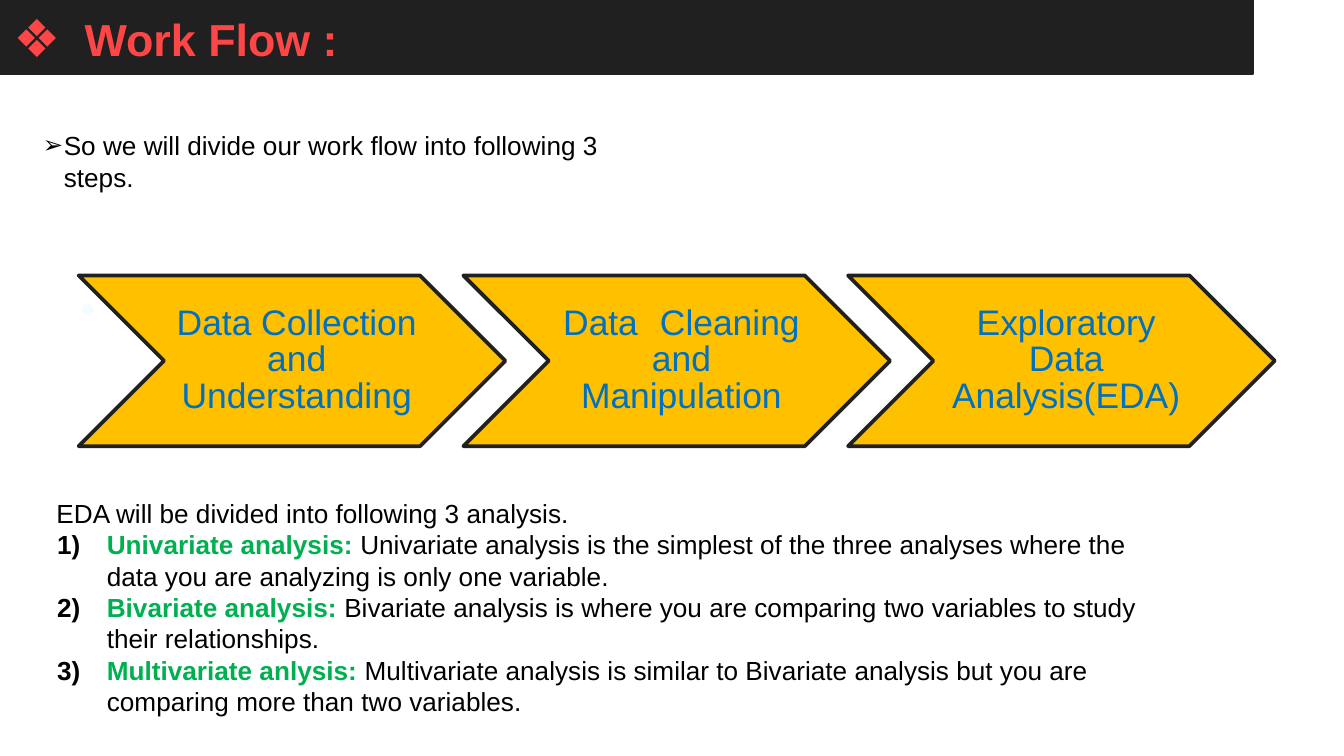
from lxml.etree import SubElement
from pptx import Presentation
from pptx.dml.color import RGBColor
from pptx.enum.shapes import MSO_SHAPE as SHAPE
from pptx.enum.text import MSO_ANCHOR as ANCHOR, PP_ALIGN as ALIGN
from pptx.oxml.ns import qn
from pptx.util import Inches, Pt

COLS, ROWS = 100, 56.25
CELL = Inches(0.1)
DARK, RED, GOLD, BLUE = "202020", "FF4646", "FFC000", "0070C0"
GREEN, BLACK, PALE = "00B050", "000000", "F5FCFF"
STEPS = [
    ["Data Collection ", "and ", "Understanding"],
    ["Data\tCleaning ", "and ", "Manipulation"],
    ["Exploratory ", "Data ", "Analysis(EDA)"],
]
ANALYSES = [
    ("Univariate analysis: ", "Univariate analysis is the simplest of the three "
     "analyses where the data you are analyzing is only one variable."),
    ("Bivariate analysis: ", "Bivariate analysis is where you are comparing two "
     "variables to study their relationships."),
    ("Multivariate anlysis: ", "Multivariate analysis is similar to Bivariate "
     "analysis but you are comparing more than two variables."),
]


def cells(*values):
    """Turn grid cells into slide lengths."""
    return [int(v * CELL) for v in values]


def rgb(color):
    """Return the colour of a hex string."""
    return RGBColor.from_string(color)


def add_run(p, text, size, color, bold=False):
    """Add one formatted run to a paragraph."""
    r = p.add_run()
    r.text = text
    r.font.name, r.font.size, r.font.bold = "Arial", Pt(size), bold
    r.font.color.rgb = rgb(color)


def set_frame(tf, left=0, top=0):
    """Wrap a text frame and set its margins in cells."""
    tf.word_wrap = True
    tf.margin_left, tf.margin_top = cells(left, top)
    tf.margin_right = tf.margin_bottom = 0


def add_text(s, box):
    """Add a text box and return its frame."""
    tf = s.shapes.add_textbox(*cells(*box)).text_frame
    set_frame(tf, top=0.1)
    return tf


def add_shape(s, kind, box, fill):
    """Add a filled shape with the dark outline."""
    sp = s.shapes.add_shape(kind, *cells(*box))
    sp.shadow.inherit = False
    sp.fill.solid()
    sp.fill.fore_color.rgb = rgb(fill)
    sp.line.color.rgb = rgb(DARK)
    sp.line.width = Pt(2)
    return sp


def set_indent(p, left, hang=0):
    """Set the left margin and hanging indent of a paragraph."""
    pPr = p._p.get_or_add_pPr()
    margin, indent = cells(left, -hang)
    pPr.set("marL", str(margin))
    pPr.set("indent", str(indent))
    return pPr


def set_bullet(p, left, hang, tag, size=100, color=None, **attrs):
    """Give a paragraph a hanging bullet or number."""
    pPr = set_indent(p, left, hang)
    if color:
        clr = SubElement(pPr, qn("a:buClr"))
        SubElement(clr, qn("a:srgbClr"), val=color)
    SubElement(pPr, qn("a:buSzPct"), val=str(size * 1000))
    SubElement(pPr, qn("a:buFont"), typeface="Arial")
    SubElement(pPr, qn(tag), **attrs)


def add_header(s, box):
    """Draw the title bar with its bulleted heading."""
    x, y, w, h = box
    add_shape(s, SHAPE.RECTANGLE, box, DARK)
    p = add_text(s, (x + 0.9, y + 0.8, w / 2, h - 1)).paragraphs[0]
    p.space_before = Pt(1)
    set_bullet(p, 5.4, 5.3, "a:buChar", 117, char="❖")
    add_run(p, "Work Flow :", 24, RED, True)


def add_intro(s, box):
    """Write the arrow-bulleted lead sentence."""
    p = add_text(s, box).paragraphs[0]
    set_bullet(p, 1.55, 1.55, "a:buChar", 93, char="➢")
    add_run(p, "So we will divide our work flow into following 3 steps.", 14, BLACK)


def add_step(s, box, words):
    """Draw one chevron with its centred label."""
    sp = add_shape(s, SHAPE.CHEVRON, box, GOLD)
    tf = sp.text_frame
    set_frame(tf, left=0.7)
    tf.vertical_anchor = ANCHOR.MIDDLE
    p = tf.paragraphs[0]
    p.alignment, p.line_spacing = ALIGN.CENTER, 0.86
    tabs = SubElement(p._p.get_or_add_pPr(), qn("a:tabLst"))
    SubElement(tabs, qn("a:tab"), pos=str(cells(7.2)[0]), algn="l")
    for word in words:
        add_run(p, word, 19, BLUE)


def add_flow(s, box):
    """Lay the steps out at an equal pitch."""
    x, y, w, h = box
    step_w = 2.5 * h
    pitch = (w - step_w) / (len(STEPS) - 1)
    p = add_text(s, (x, y + 1.1, 1.5, 2.6)).paragraphs[0]
    p.space_before = Pt(0.9)
    set_indent(p, 0.1)
    add_run(p, "●", 14, PALE)
    for i, words in enumerate(STEPS):
        add_step(s, (x + i * pitch, y, step_w, h), words)


def add_analyses(s, box):
    """Write the numbered list of analyses."""
    tf = add_text(s, box)
    p = tf.paragraphs[0]
    p.space_before = Pt(1)
    set_indent(p, 0.15)
    add_run(p, "EDA will be divided into following 3 analysis.", 14, BLACK)
    for name, text in ANALYSES:
        p = tf.add_paragraph()
        set_bullet(p, 3.9, 3.7, "a:buAutoNum", color=BLACK, type="arabicParenR")
        add_run(p, name, 14, GREEN, True)
        add_run(p, text, 14, BLACK)


def main():
    """Build and save the slide."""
    prs = Presentation()
    prs.slide_width, prs.slide_height = cells(COLS, ROWS)
    s = prs.slides.add_slide(prs.slide_layouts[6])
    add_header(s, (0, 0, 93.2, 5.45))
    add_intro(s, (3.2, 9.55, 47, 4.8))
    add_flow(s, (5.85, 20.5, 89, 12.7))
    add_analyses(s, (4.05, 36.9, 82, 16.6))
    prs.save("out.pptx")


if __name__ == "__main__":
    main()
